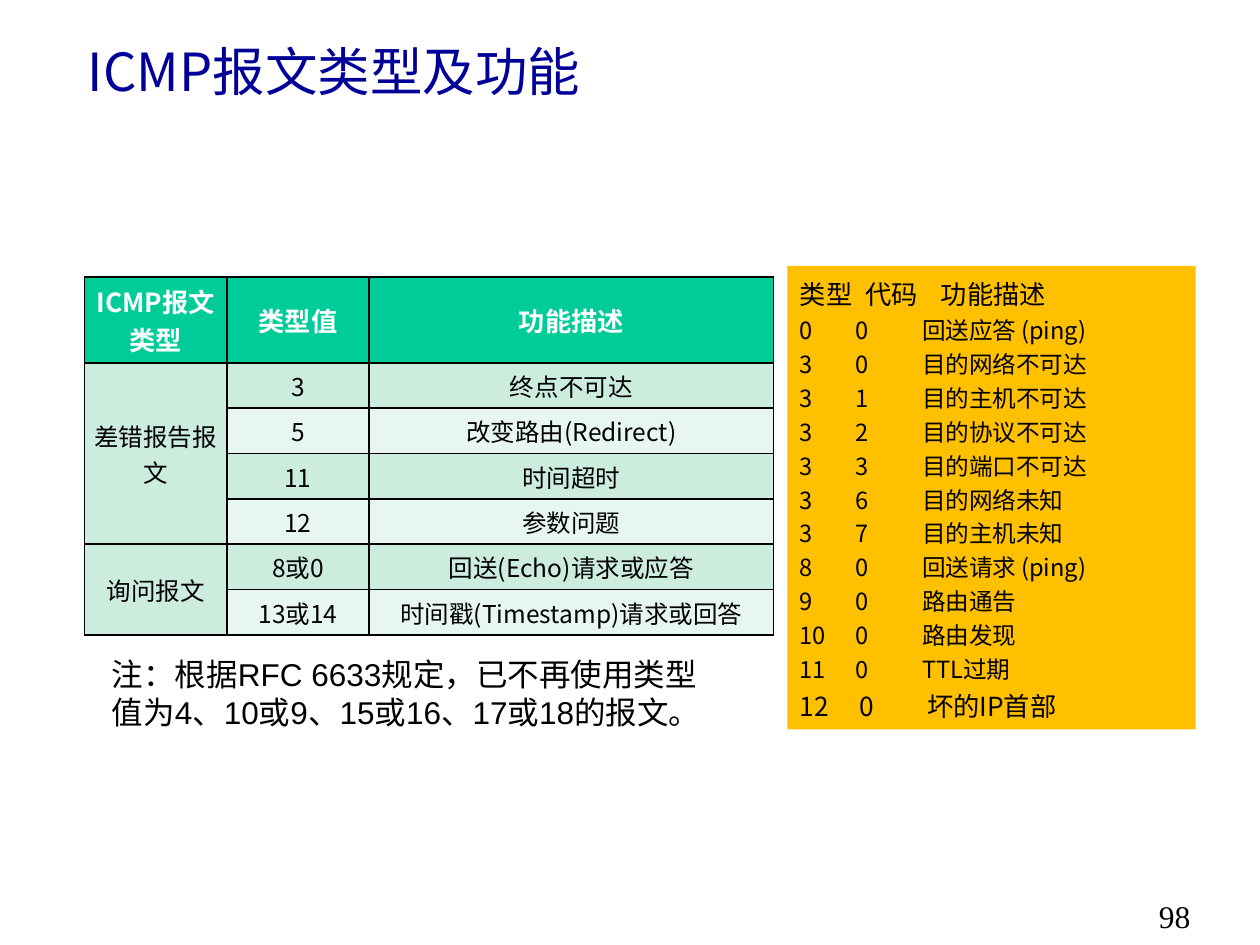
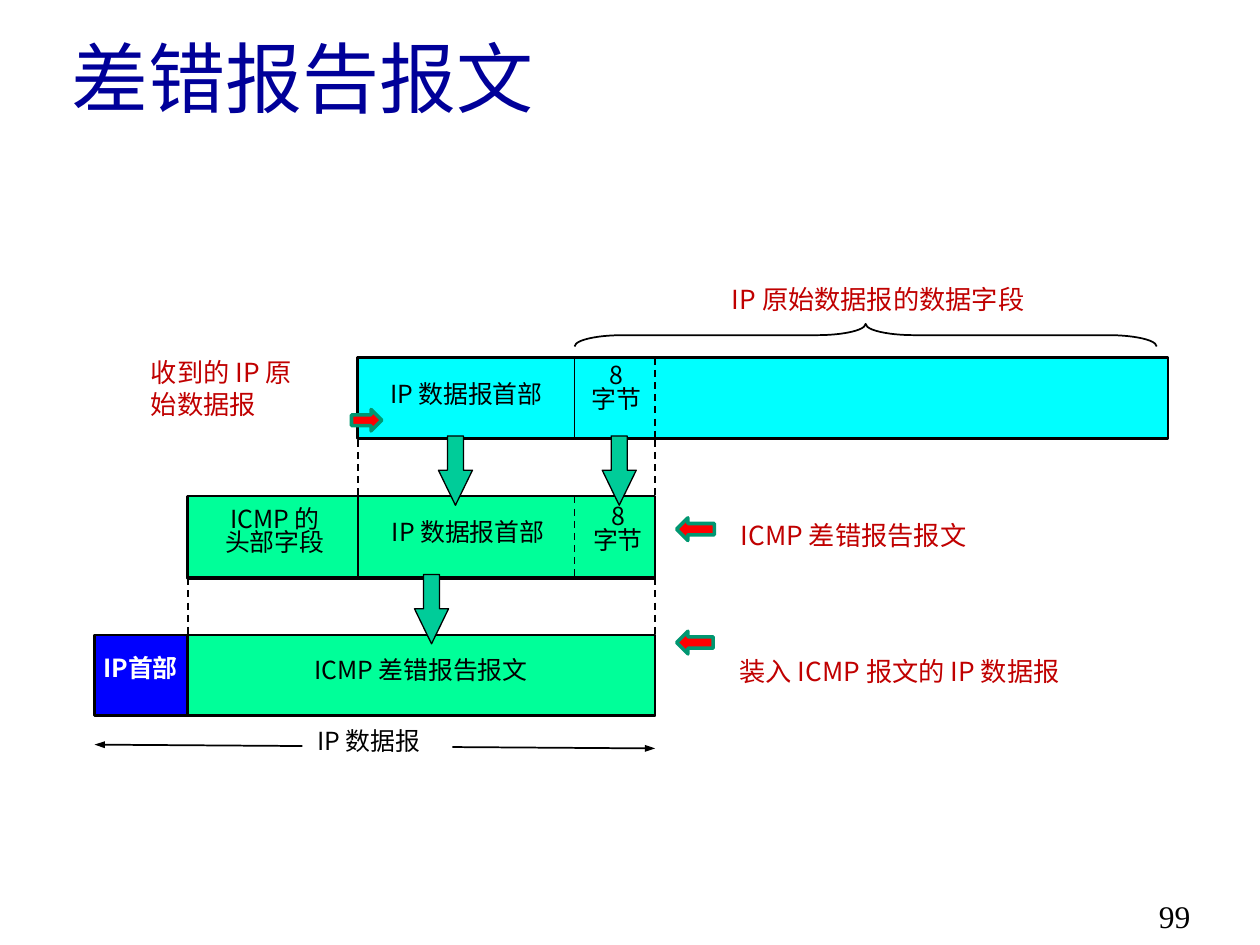
from dataclasses import dataclass

from lxml import etree
from pptx import Presentation
from pptx.dml.color import RGBColor
from pptx.enum.dml import MSO_LINE
from pptx.enum.shapes import MSO_CONNECTOR, MSO_SHAPE
from pptx.enum.text import MSO_ANCHOR, PP_ALIGN
from pptx.oxml.ns import qn
from pptx.util import Inches, Pt


@dataclass(frozen=True)
class Theme:
    font: str = "Noto Sans CJK SC"
    note_font: str = "Arial"
    number_font: str = "Times New Roman"
    title: str = "000099"
    black: str = "000000"
    white: str = "FFFFFF"
    callout: str = "C00000"
    accent: str = "00CC99"
    band_dark: str = "CCECDE"
    band_light: str = "E7F6EF"
    panel: str = "FFC000"
    received: str = "00FFFF"
    icmp: str = "00FF99"
    ip: str = "0000FF"
    shade: str = "DDDDDD"
    pointer: str = "FF0000"
    pointer_edge: str = "009771"
    long_title_size: float = 30
    short_title_size: float = 44
    body_size: float = 18
    head_size: float = 15
    cell_size: float = 14
    code_size: float = 13.5
    label_size: float = 14.2


T = Theme()

MESSAGE_ROWS = [
    ("ICMP报文类型", "类型值", "功能描述"),
    ("差错报告报文", "3", "终点不可达"),
    ("", "5", "改变路由(Redirect)"),
    ("", "11", "时间超时"),
    ("", "12", "参数问题"),
    ("询问报文", "8或0", "回送(Echo)请求或应答"),
    ("", "13或14", "时间戳(Timestamp)请求或回答"),
]
HEADER_H, ROW_H = 0.68, 0.36
CODES = [
    ("类型", "代码", "功能描述"),
    ("0", "0", "回送应答 (ping)"),
    ("3", "0", "目的网络不可达"),
    ("3", "1", "目的主机不可达"),
    ("3", "2", "目的协议不可达"),
    ("3", "3", "目的端口不可达"),
    ("3", "6", "目的网络未知"),
    ("3", "7", "目的主机未知"),
    ("8", "0", "回送请求 (ping)"),
    ("9", "0", "路由通告"),
    ("10", "0", "路由发现"),
    ("11", "0", "TTL过期"),
    ("12", "0", "坏的IP首部"),
]

# Column edges and rows of the encapsulation diagram
IP_X, ICMP_X, INNER_X, DATA_X, END_X = 0.75, 1.49, 2.84, 4.56, 5.2
TIERS = [2.84 + 1.1 * i for i in range(3)]
BAR_H, DIVIDER_H = 0.64, 0.65


def rgb(color):
    return RGBColor.from_string(color)


def add_run(p, text, size, color=T.black, font=T.font, bold=False):
    r = p.add_run()
    r.text = text
    r.font.name, r.font.size, r.font.bold = font, Pt(size), bold
    r.font.color.rgb = rgb(color)
    etree.SubElement(r.font._element, qn("a:ea")).set("typeface", T.font)


def add_text(s, at, text, size, color=T.black, font=T.font, bold=False,
             align=PP_ALIGN.LEFT, spacing=None, wrap=True, anchor=MSO_ANCHOR.TOP):
    tf = s.shapes.add_textbox(*map(Inches, at)).text_frame
    tf.word_wrap, tf.vertical_anchor = wrap, anchor
    for i, line in enumerate(text.split("\n")):
        p = tf.add_paragraph() if i else tf.paragraphs[0]
        p.alignment = align
        p.line_spacing = spacing
        add_run(p, line, size, color, font, bold)


def add_label(s, at, text, color=T.black, bold=False):
    add_text(s, at, text, T.label_size, color, bold=bold,
             align=PP_ALIGN.CENTER, spacing=0.8, wrap=False)


def add_callout(s, at, text, wrap=False):
    add_text(s, at, text, T.head_size, T.callout, wrap=wrap)


def add_shape(s, kind, at, fill=None, line=None, width=1.0, adj=(), rotation=0):
    sp = s.shapes.add_shape(kind, *map(Inches, at))
    sp.shadow.inherit = False
    sp.rotation = rotation
    for i, value in enumerate(adj):
        sp.adjustments[i] = value
    if fill:
        sp.fill.solid()
        sp.fill.fore_color.rgb = rgb(fill)
    else:
        sp.fill.background()
    if line:
        sp.line.color.rgb = rgb(line)
        sp.line.width = Pt(width)
    else:
        sp.line.fill.background()
    return sp


def add_bar(s, left, tier, right, fill, width=1.5, height=BAR_H):
    add_shape(s, MSO_SHAPE.RECTANGLE, (left, TIERS[tier], right - left, height),
              fill, T.black, width)


def add_line(s, x1, y1, x2, y2, dashed=False, arrows=False):
    c = s.shapes.add_connector(MSO_CONNECTOR.STRAIGHT, *map(Inches, (x1, y1, x2, y2)))
    c.line.color.rgb = rgb(T.black)
    c.line.width = Pt(1)
    if dashed:
        c.line.dash_style = MSO_LINE.DASH
    if arrows:
        ln = c.line._get_or_add_ln()
        for end in ("a:headEnd", "a:tailEnd"):
            etree.SubElement(ln, qn(end), type="triangle", w="sm", len="med")
    etree.SubElement(c._element.spPr, qn("a:effectLst"))


def add_divider(s, x, tier, dashed=False):
    add_line(s, x, TIERS[tier], x, TIERS[tier] + DIVIDER_H, dashed)


def add_guide(s, x, tier):
    add_line(s, x, TIERS[tier] + DIVIDER_H, x, TIERS[tier + 1], dashed=True)


def add_pointer(s, at, rotation=0):
    add_shape(s, MSO_SHAPE.LEFT_ARROW, at, T.pointer, T.pointer_edge, 2,
              rotation=rotation)


def set_borders(cell):
    tc_pr = cell._tc.get_or_add_tcPr()
    for side in ("a:lnL", "a:lnR", "a:lnT", "a:lnB"):
        ln = etree.SubElement(tc_pr, qn(side), w=str(Pt(1)))
        fill = etree.SubElement(ln, qn("a:solidFill"))
        etree.SubElement(fill, qn("a:srgbClr"), val=T.black)


def fill_cell(cell, text, row, col):
    header = row == 0
    set_borders(cell)
    cell.fill.solid()
    band = T.band_dark if col == 0 or row % 2 else T.band_light
    cell.fill.fore_color.rgb = rgb(T.accent if header else band)
    cell.margin_left = cell.margin_right = Inches(0.07)
    cell.margin_top = cell.margin_bottom = Inches(0.04)
    centred = col == 0 or header
    cell.vertical_anchor = MSO_ANCHOR.MIDDLE if centred else MSO_ANCHOR.TOP
    if text:
        p = cell.text_frame.paragraphs[0]
        p.alignment = PP_ALIGN.CENTER
        add_run(p, text, T.head_size if header else T.cell_size,
                T.white if header else T.black, bold=header)


def add_message_table(s):
    height = HEADER_H + ROW_H * (len(MESSAGE_ROWS) - 1)
    at = map(Inches, (0.67, 2.2, 5.47, height))
    table = s.shapes.add_table(len(MESSAGE_ROWS), 3, *at).table
    table.first_row = table.horz_banding = False
    for column, width in zip(table.columns, (1.13, 1.13, 3.21)):
        column.width = Inches(width)
    for i, row in enumerate(MESSAGE_ROWS):
        table.rows[i].height = Inches(ROW_H if i else HEADER_H)
        for j, text in enumerate(row):
            fill_cell(table.cell(i, j), text, i, j)
    # Category cells span their message types
    for first, last in ((1, 4), (5, 6)):
        table.cell(first, 0).merge(table.cell(last, 0))


def set_tabs(p, stops):
    tabs = etree.SubElement(p._p.get_or_add_pPr(), qn("a:tabLst"))
    for stop in stops:
        etree.SubElement(tabs, qn("a:tab"), pos=str(Inches(stop)), algn="l")


def add_code_panel(s):
    sp = add_shape(s, MSO_SHAPE.RECTANGLE, (6.25, 2.11, 3.24, 3.68), T.panel)
    tf = sp.text_frame
    tf.word_wrap, tf.vertical_anchor = True, MSO_ANCHOR.TOP
    special_stops = {0: (0.52, 1.12), len(CODES) - 1: (0.47, 1.01)}
    for i, row in enumerate(CODES):
        p = tf.add_paragraph() if i else tf.paragraphs[0]
        set_tabs(p, special_stops.get(i, (0.44, 0.97)))
        p.alignment, p.line_spacing = PP_ALIGN.LEFT, 1.2
        size = T.head_size if i in special_stops else T.code_size
        add_run(p, "\t".join(row), size)


def add_slide(prs, title, title_at, title_size, number, spacing=None):
    s = prs.slides.add_slide(prs.slide_layouts[6])
    add_text(s, title_at, title, title_size, T.title, anchor=MSO_ANCHOR.MIDDLE,
             spacing=spacing)
    add_text(s, (9.1, 7.07, 0.74, 0.3), number, T.body_size, font=T.number_font)
    return s


def build_types_slide(prs):
    s = add_slide(prs, "ICMP报文类型及功能", (0.6, 0.19, 8.5, 0.81),
                  T.long_title_size, "98", spacing=0.9)
    add_message_table(s)
    add_text(s, (0.79, 5.15, 4.98, 0.71),
             "注：根据RFC 6633规定，已不再使用类型值为4、10或9、15或16、17或18的报文。",
             T.body_size, font=T.note_font)
    add_code_panel(s)


def build_error_slide(prs):
    s = add_slide(prs, "差错报告报文", (0.47, 0.1, 8.5, 1.02),
                  T.short_title_size, "99")

    # Bars: received datagram, ICMP message, enclosing datagram
    add_bar(s, IP_X, 2, END_X, T.ip)
    add_bar(s, ICMP_X, 2, END_X, T.icmp)
    add_bar(s, ICMP_X, 1, END_X, T.shade, height=DIVIDER_H)
    add_bar(s, ICMP_X, 1, END_X, T.icmp, 1)
    add_bar(s, INNER_X, 0, 9.27, T.received)

    # Field dividers and the guides between bars
    for x, tier, dashed in ((DATA_X, 0, False), (END_X, 0, True), (INNER_X, 1, False),
                            (DATA_X, 1, True), (ICMP_X, 2, False)):
        add_divider(s, x, tier, dashed)
    for x, tier in ((INNER_X, 0), (END_X, 0), (ICMP_X, 1), (END_X, 1)):
        add_guide(s, x, tier)

    # Total length of the datagram
    add_line(s, IP_X, 5.91, END_X, 5.94, arrows=True)
    add_shape(s, MSO_SHAPE.RECTANGLE, (2.4, 5.75, 1.19, 0.34), T.white)
    add_text(s, (2.42, 5.71, 1.17, 0.42), "IP 数据报", T.label_size, wrap=False)

    # Field names
    add_label(s, (2.89, 3, 1.62, 0.36), "IP 数据报首部")
    add_label(s, (4.56, 2.85, 0.67, 0.59), "8\n字节")
    add_label(s, (1.62, 3.99, 1.12, 0.59), "ICMP 的\n头部字段")
    add_label(s, (2.91, 4.1, 1.61, 0.36), "IP 数据报首部")
    add_label(s, (4.57, 3.97, 0.67, 0.59), "8\n字节")
    add_label(s, (0.67, 5.18, 0.89, 0.36), "IP首部", T.white, bold=True)
    add_label(s, (2.24, 5.19, 2.2, 0.36), "ICMP 差错报告报文")

    # Copying arrows
    for x, y in ((3.48, 3.46), (4.78, 3.46), (3.29, 4.56)):
        add_shape(s, MSO_SHAPE.DOWN_ARROW, (x, y, 0.27, 0.55), T.accent, T.black,
                  0.75, adj=(0.47, 1.03))

    # Brace and callouts
    add_shape(s, MSO_SHAPE.LEFT_BRACE, (6.78, 0.35, 0.18, 4.62), line=T.black,
              adj=(2.13, 0.5), rotation=90)
    add_callout(s, (5.71, 2.2, 2.86, 0.43), "IP 原始数据报的数据字段")
    add_callout(s, (1.1, 2.78, 1.43, 0.74), "收到的 IP 原始数据报", wrap=True)
    add_callout(s, (5.78, 4.07, 2.3, 0.43), "ICMP 差错报告报文")
    add_callout(s, (5.77, 5.15, 3.2, 0.43), "装入 ICMP 报文的 IP 数据报")
    add_pointer(s, (5.37, 4.11, 0.3, 0.18))
    add_pointer(s, (2.79, 3.25, 0.24, 0.17), rotation=180)
    add_pointer(s, (5.37, 5.01, 0.29, 0.18))


def main():
    prs = Presentation()
    prs.slide_width, prs.slide_height = Inches(10), Inches(7.5)
    build_types_slide(prs)
    build_error_slide(prs)
    prs.save("out.pptx")


if __name__ == "__main__":
    main()
